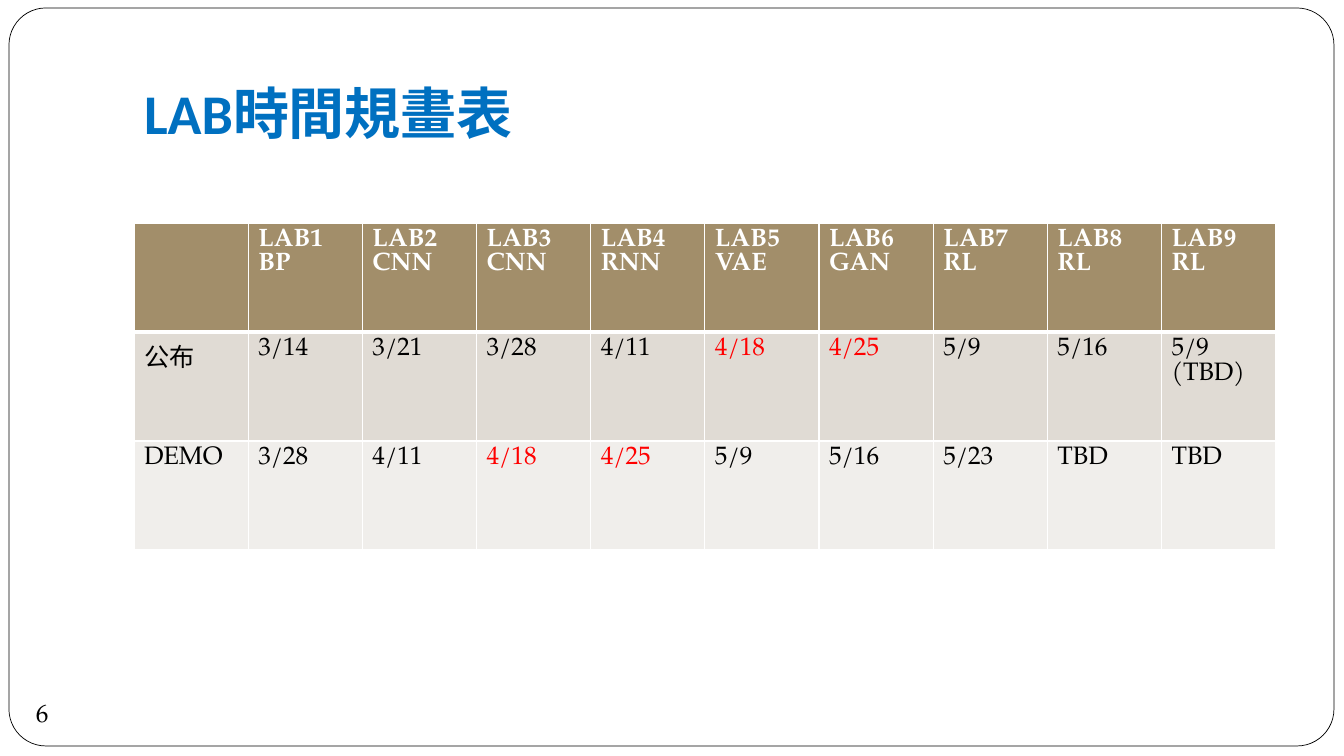
"""Build the lab schedule slide."""
from lxml import etree
from pptx import Presentation
from pptx.dml.color import RGBColor
from pptx.enum.shapes import MSO_SHAPE
from pptx.enum.text import MSO_ANCHOR, PP_ALIGN
from pptx.oxml.ns import qn
from pptx.util import Emu, Pt

ROUNDED = MSO_SHAPE.ROUNDED_RECTANGLE
BOTTOM, LEFT = MSO_ANCHOR.BOTTOM, PP_ALIGN.LEFT

TITLE = "LAB時間規畫表"
PAGE_NUMBER = "6"
SCHEDULE = [
    ["", "LAB1\nBP", "LAB2\nCNN", "LAB3\nCNN", "LAB4\nRNN", "LAB5\nVAE",
     "LAB6\nGAN", "LAB7\nRL", "LAB8\nRL", "LAB9\nRL"],
    ["公布", "3/14", "3/21", "3/28", "4/11", "4/18", "4/25", "5/9", "5/16", "5/9\n(TBD)"],
    ["DEMO", "3/28", "4/11", "4/18", "4/25", "5/9", "5/16", "5/23", "TBD", "TBD"],
]
MARKED_DATES = {"4/18", "4/25"}

COLORS = {"white": "FFFFFF", "black": "000000", "title": "0070C0", "marked": "FF0000",
          "header": "A28E6A", "release": "E0DBD4", "demo": "F0EEEB"}
ROW_FILLS = ["header", "release", "demo"]
BODY_FONT = {"name": "TeX Gyre Pagella", "size": Pt(18), "bold": False}
HEADER_FONT = {**BODY_FONT, "bold": True}
TITLE_FONT = {"name": "Calibri", "size": Pt(40), "bold": True}

EMU_PER_PIXEL = 914400 / 100.8
SLIDE_SIZE = (1344, 756)
FRAME_BOX = (9, 8, 1325, 738)
NUMBER_BOX = (26, 692, 50, 40)
TITLE_BOX = (134, 30, 1142, 126)
TABLE_BOX = (134, 223, 1142, 327)


def scale(pixels):
    return [Emu(round(value * EMU_PER_PIXEL)) for value in pixels]


def color(name):
    return RGBColor.from_string(COLORS[name])


def write(frame, text, font, color_name):
    frame.text = text
    for para in frame.paragraphs:
        para.alignment = LEFT
        for span in para.runs:
            for key, value in font.items():
                setattr(span.font, key, value)
            span.font.color.rgb = color(color_name)


def add_border(cell, side, points):
    line = etree.Element(qn(f"a:ln{side}"), w=str(Pt(points)))
    fill = etree.SubElement(line, qn("a:solidFill"))
    etree.SubElement(fill, qn("a:srgbClr"), val=COLORS["white"])
    return line


def style_cell(cell, fill_name, bottom_width, top_width):
    cell.fill.solid()
    cell.fill.fore_color.rgb = color(fill_name)
    widths = {"L": 1, "R": 1, "T": top_width, "B": bottom_width}
    properties = cell._tc.get_or_add_tcPr()
    for index, (side, points) in enumerate(widths.items()):
        properties.insert(index, add_border(cell, side, points))


def add_frame(page):
    frame = page.shapes.add_shape(ROUNDED, *scale(FRAME_BOX))
    frame.shadow.inherit = False
    frame.adjustments[0] = 0.05
    frame.fill.solid()
    frame.fill.fore_color.rgb = color("white")
    frame.line.color.rgb = color("black")
    frame.line.width = Pt(0.5)
    page.shapes._spTree.insert(2, frame._element)


def add_title(page):
    title = page.shapes.title
    title.left, title.top, title.width, title.height = scale(TITLE_BOX)
    write(title.text_frame, TITLE, TITLE_FONT, "title")
    layout = {"vertical_anchor": BOTTOM, "word_wrap": True, "margin_bottom": Pt(7.2)}
    for key, value in layout.items():
        setattr(title.text_frame, key, value)


def add_schedule(page):
    table = page.shapes.add_table(len(SCHEDULE), len(SCHEDULE[0]), *scale(TABLE_BOX)).table
    for row, (texts, fill_name) in enumerate(zip(SCHEDULE, ROW_FILLS)):
        for column, text in enumerate(texts):
            cell = table.cell(row, column)
            style_cell(cell, fill_name, 3 if row == 0 else 1, 3 if row == 1 else 1)
            if row == 0:
                write(cell.text_frame, text, HEADER_FONT, "white")
            else:
                ink = "marked" if text in MARKED_DATES else "black"
                write(cell.text_frame, text, BODY_FONT, ink)


deck = Presentation()
deck.slide_width, deck.slide_height = scale(SLIDE_SIZE)
page = deck.slides.add_slide(deck.slide_layouts[5])
add_frame(page)
number = page.shapes.add_textbox(*scale(NUMBER_BOX))
write(number.text_frame, PAGE_NUMBER, BODY_FONT, "black")
add_title(page)
add_schedule(page)
deck.save("out.pptx")
